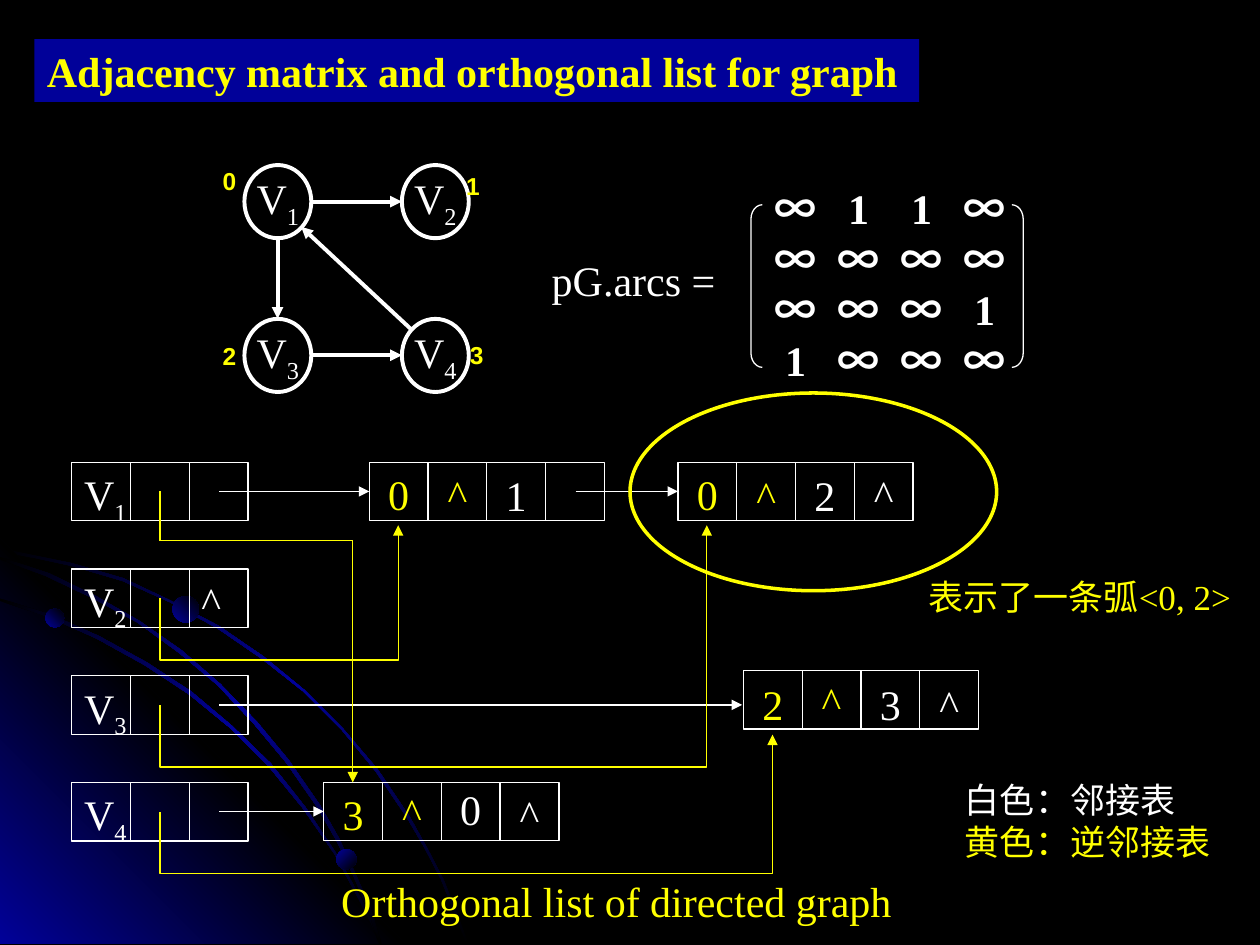
"""Build the slide on the adjacency matrix and orthogonal list of a directed graph."""
from copy import deepcopy
from dataclasses import dataclass

from lxml import etree
from pptx import Presentation
from pptx.dml.color import RGBColor
from pptx.enum.shapes import MSO_CONNECTOR, MSO_SHAPE
from pptx.enum.text import MSO_ANCHOR, MSO_AUTO_SIZE, PP_ALIGN
from pptx.oxml.ns import qn
from pptx.util import Pt

STRAIGHT, ELBOW = MSO_CONNECTOR.STRAIGHT, MSO_CONNECTOR.ELBOW
OVAL, RECT = MSO_SHAPE.OVAL, MSO_SHAPE.RECTANGLE
BRACKETS = MSO_SHAPE.LEFT_BRACKET, MSO_SHAPE.RIGHT_BRACKET
LEFT, CENTER = PP_ALIGN.LEFT, PP_ALIGN.CENTER
TOP, MIDDLE = MSO_ANCHOR.TOP, MSO_ANCHOR.MIDDLE
NO_FIT = MSO_AUTO_SIZE.NONE


@dataclass(frozen=True)
class Theme:
    black: str = "000000"
    blue: str = "010199"
    white: str = "FFFFFF"
    yellow: str = "FFFF00"
    serif: str = "Times New Roman"
    sans: str = "Arial"
    cjk: str = "Noto Sans CJK SC"
    main: float = 24
    note: float = 20
    index: float = 14
    thin: float = 0.75
    thick: float = 2.25


T = Theme()


@dataclass(frozen=True)
class Run:
    text: str
    color: str = T.white
    size: float = T.main
    font: str = T.serif
    bold: bool = False
    sub: bool = False


@dataclass(frozen=True)
class ArcNode:
    x: float
    y: float
    cells: str
    dy: tuple[float, ...]


CELL_W, CELL_H = 33.6, 33.4
ROW_X, ROW_Y, ROW_STEP = 41, 264.2, 61
GRAPH_X, GRAPH_Y, GRAPH_W, GRAPH_H = (139.7, 229.7), (94.3, 182.2), 38.2, 41.8
MATRIX = ("∞11∞", "∞∞∞∞", "∞∞∞1", "1∞∞∞")
ARC_NODES = (
    ArcNode(211, 264.2, "0^1", (0, 0, 0.7)),
    ArcNode(387.4, 264.2, "0^2^", (0, 0.7, 0.7, 0)),
    ArcNode(424.8, 383.3, "2^3^", (0.7, -0.7, 0.7, 0.7)),
    ArcNode(185, 447.1, "3^0^", (0, -1.4, -2.9, 0)),
)
RIBBON_UNIT = 0.72
WEDGE = ((322, 749), (0, 749), (0, 427))
RIBBONS = (
    ((57, 447), (28, 441), (0, 435), (0, 438), (28, 443), (56, 449), (97, 461), (135, 478),
     (173, 499), (208, 523), (241, 549), (271, 579), (298, 612), (323, 649), (337, 673),
     (350, 698), (360, 723), (370, 749), (372, 749), (362, 723), (352, 698), (339, 673),
     (325, 648), (300, 611), (272, 578), (242, 548), (209, 521), (174, 497), (136, 477),
     (98, 459)),
    ((285, 714), (294, 732), (301, 749), (303, 749), (296, 730), (286, 712), (266, 676),
     (242, 640), (215, 606), (184, 576), (152, 549), (117, 526), (79, 505), (41, 488),
     (0, 475), (0, 477), (39, 490), (77, 507), (115, 528), (150, 551), (183, 578),
     (213, 608), (240, 641), (265, 677)),
    ((0, 442), (0, 444), (36, 457), (74, 475), (109, 494), (142, 518), (173, 544),
     (202, 575), (227, 605), (252, 641), (267, 667), (280, 694), (292, 722), (301, 749),
     (303, 749), (294, 720), (282, 693), (269, 665), (254, 639), (229, 603), (204, 573),
     (175, 543), (144, 516), (111, 493), (76, 473), (39, 455)),
)


def rgb(color: str) -> RGBColor:
    return RGBColor.from_string(color)


def add_runs(p, runs) -> None:
    for run in runs:
        r = p.add_run()
        r.text = run.text
        r.font.size, r.font.bold, r.font.name = Pt(run.size), run.bold, run.font
        r.font.color.rgb = rgb(run.color)
        rPr = r._r.get_or_add_rPr()
        etree.SubElement(rPr, qn("a:ea")).set("typeface", T.cjk)
        if run.sub:
            rPr.set("baseline", "-25000")


def write(sp, lines, align=LEFT, anchor=TOP, wrap=False) -> None:
    tf = sp.text_frame
    tf.word_wrap, tf.auto_size, tf.vertical_anchor = wrap, NO_FIT, anchor
    for i, runs in enumerate(lines):
        p = tf.add_paragraph() if i else tf.paragraphs[0]
        p.alignment = align
        add_runs(p, runs)


def text(s, x, y, w, h, *lines, align=LEFT, wrap=False):
    sp = s.shapes.add_textbox(Pt(x), Pt(y), Pt(w), Pt(h))
    write(sp, lines, align, wrap=wrap)
    return sp


def outline(s, kind, x, y, w, h, color=T.white, width=T.thin):
    sp = s.shapes.add_shape(kind, Pt(x), Pt(y), Pt(w), Pt(h))
    sp.shadow.inherit = False
    sp.fill.background()
    sp.line.color.rgb, sp.line.width = rgb(color), Pt(width)
    return sp


def line(s, x1, y1, x2, y2, color=T.white, width=T.thin, arrow=False, kind=STRAIGHT):
    cx = s.shapes.add_connector(kind, Pt(x1), Pt(y1), Pt(x2), Pt(y2))
    cx.line.color.rgb, cx.line.width = rgb(color), Pt(width)
    spPr = cx.element.spPr
    if arrow:
        etree.SubElement(spPr.find(qn("a:ln")), qn("a:tailEnd")).set("type", "triangle")
    etree.SubElement(spPr, qn("a:effectLst"))
    return cx


def elbow(s, x1, y1, x2, y2, drop=18.7) -> None:
    """Draw a yellow arrow that drops, runs right and climbs to its target."""
    mx, my, rise, run = (x1 + x2) / 2, (y1 + y2) / 2, (y1 - y2) / 2, (x2 - x1) / 2
    cx = line(s, mx + rise, my + run, mx - rise, my - run, T.yellow, arrow=True, kind=ELBOW)
    spPr = cx.element.spPr
    spPr.find(qn("a:xfrm")).set("rot", "5400000")
    gd = etree.SubElement(spPr.find(qn("a:prstGeom")).find(qn("a:avLst")), qn("a:gd"))
    gd.set("name", "adj1")
    gd.set("fmla", f"val {round(-drop / (2 * rise) * 100000)}")


def gradient(sp, colors, angle) -> None:
    sp.shadow.inherit = False
    sp.line.fill.background()
    sp.fill.gradient()
    sp.fill.gradient_angle = angle
    gs_lst = sp.element.spPr.find(qn("a:gradFill")).find(qn("a:gsLst"))
    if len(colors) == 3:
        gs_lst.insert(1, deepcopy(gs_lst[0]))
    for i, (stop, color) in enumerate(zip(sp.fill.gradient_stops, colors)):
        stop.color.rgb, stop.position = rgb(color), i / (len(colors) - 1)


def freeform(s, points):
    fb = s.shapes.build_freeform(*points[0], scale=Pt(RIBBON_UNIT))
    fb.add_line_segments(points[1:], close=True)
    return fb.convert_to_shape()


def backdrop(s) -> None:
    s.background.fill.solid()
    s.background.fill.fore_color.rgb = rgb(T.black)
    shapes = [freeform(s, pts) for pts in (RIBBONS[0], WEDGE, *RIBBONS[1:])]
    for i, sp in enumerate(shapes):
        wedge = i == 1
        colors = (T.blue, T.black, T.blue) if wedge else (T.black, T.blue, T.black)
        gradient(sp, colors, 45 if wedge else 315)
    for x, y, d, angle in ((25.9, 347.8, 10.8, 45), (192.2, 485.3, 11.5, 315), (98.6, 340.6, 15.1, 45)):
        gradient(outline(s, OVAL, x, y, d, d), (T.blue, T.black), angle)


def record(s, x, y, cells) -> None:
    outline(s, RECT, x, y, cells * CELL_W, CELL_H)
    for i in range(1, cells):
        line(s, x + i * CELL_W, y, x + i * CELL_W, y + CELL_H)


def vertex(i):
    return Run("V"), Run(str(i + 1), sub=True)


def graph(s) -> None:
    tags = ((120.2, 91.4), (259.2, 94.3), (120.2, 191.5), (261.4, 190.8))
    for i, tag in enumerate(tags):
        sp = outline(s, OVAL, GRAPH_X[i % 2], GRAPH_Y[i // 2], GRAPH_W, GRAPH_H, width=T.thick)
        write(sp, [vertex(i)], CENTER, MIDDLE)
        text(s, *tag, 22.3, 24.5, [Run(str(i), T.yellow, T.index, T.sans, True)])
    for ends in ((177.5, 115.2, 229.7, 115.2), (158.6, 136.1, 158.6, 182.2),
                 (177.5, 203, 229.7, 203), (235.4, 188.6, 172.1, 129.6)):
        line(s, *ends, width=T.thick, arrow=True)


def matrix(s) -> None:
    text(s, 308.2, 141.8, 108, 36, [Run("pG.arcs =")])
    rows = [[Run("\t" + v, font=T.cjk if v == "∞" else T.serif, bold=True) for v in row]
            for row in MATRIX]
    sp = text(s, 435.6, 101, 160, 123.8, *rows, wrap=True)
    for p in sp.text_frame.paragraphs:
        p.line_spacing = Pt(28.8)
        tabs = etree.SubElement(p._p.get_or_add_pPr(), qn("a:tabLst"))
        for col in range(4):
            tab = etree.SubElement(tabs, qn("a:tab"))
            tab.set("pos", str(Pt(12 + 36 * col)))
            tab.set("algn", "ctr")
    for kind, x in zip(BRACKETS, (429.1, 578.2)):
        outline(s, kind, x, 117, 6.5, 92.9).adjustments[0] = 1.26


def orthogonal_list(s) -> None:
    for i in range(4):
        y = ROW_Y + i * ROW_STEP
        record(s, ROW_X, y, 3)
        text(s, ROW_X, y, 39.6, 36, vertex(i))
    text(s, 108, ROW_Y + ROW_STEP, 25.9, 36, [Run("^")])
    for node in ARC_NODES:
        record(s, node.x, node.y, 4)
        for i, (mark, dy) in enumerate(zip(node.cells, node.dy)):
            color = T.yellow if i < 2 else T.white
            text(s, node.x + i * CELL_W, node.y + dy, CELL_W, 36, [Run(mark, color)], align=CENTER)
    for x1, x2, y in ((125.3, 211, 280.8), (329, 387.4, 280.8), (125.3, 424.1, 402.8), (125.3, 185, 463.7)):
        line(s, x1, y, x2, y, arrow=True)
    line(s, 91.4, 280.8, 91.4, 308.9, T.yellow)
    line(s, 91.4, 308.9, 201.6, 308.9, T.yellow)
    line(s, 201.6, 308.9, 201.6, 447.1, T.yellow, arrow=True)
    for i, (x, y) in enumerate(((227.5, 300.2), (403.9, 300.2), (441.4, 419.8)), 1):
        bottom = ROW_Y + i * ROW_STEP + CELL_H
        line(s, 91.4, bottom, 91.4, bottom - CELL_H / 2, T.yellow)
        elbow(s, 91.4, bottom, x, y)


def main() -> None:
    prs = Presentation()
    prs.slide_width, prs.slide_height = Pt(720), Pt(540)
    s = prs.slides.add_slide(prs.slide_layouts[5])
    backdrop(s)
    title = s.shapes.title
    title.left, title.top, title.width, title.height = Pt(19.6), Pt(22.3), Pt(505.6), Pt(36)
    title.fill.solid()
    title.fill.fore_color.rgb = rgb(T.blue)
    write(title, [[Run("Adjacency matrix and orthogonal list for graph", T.yellow, bold=True)]], wrap=True)
    orthogonal_list(s)
    matrix(s)
    graph(s)
    text(s, 187.9, 496.8, 331.9, 36, [Run("Orthogonal list of directed graph", T.yellow)])
    text(s, 544.3, 441.4, 162, 55.4, [Run("白色：邻接表", size=T.note)],
         [Run("黄色：逆邻接表", T.yellow, T.note)], wrap=True)
    outline(s, OVAL, 360, 224.6, 209.5, 113, T.yellow, 2)
    text(s, 523.4, 325.4, 195.1, 31.7, [Run("表示了一条弧<0, 2>", T.yellow, T.note)], wrap=True)
    prs.save("out.pptx")


if __name__ == "__main__":
    main()
